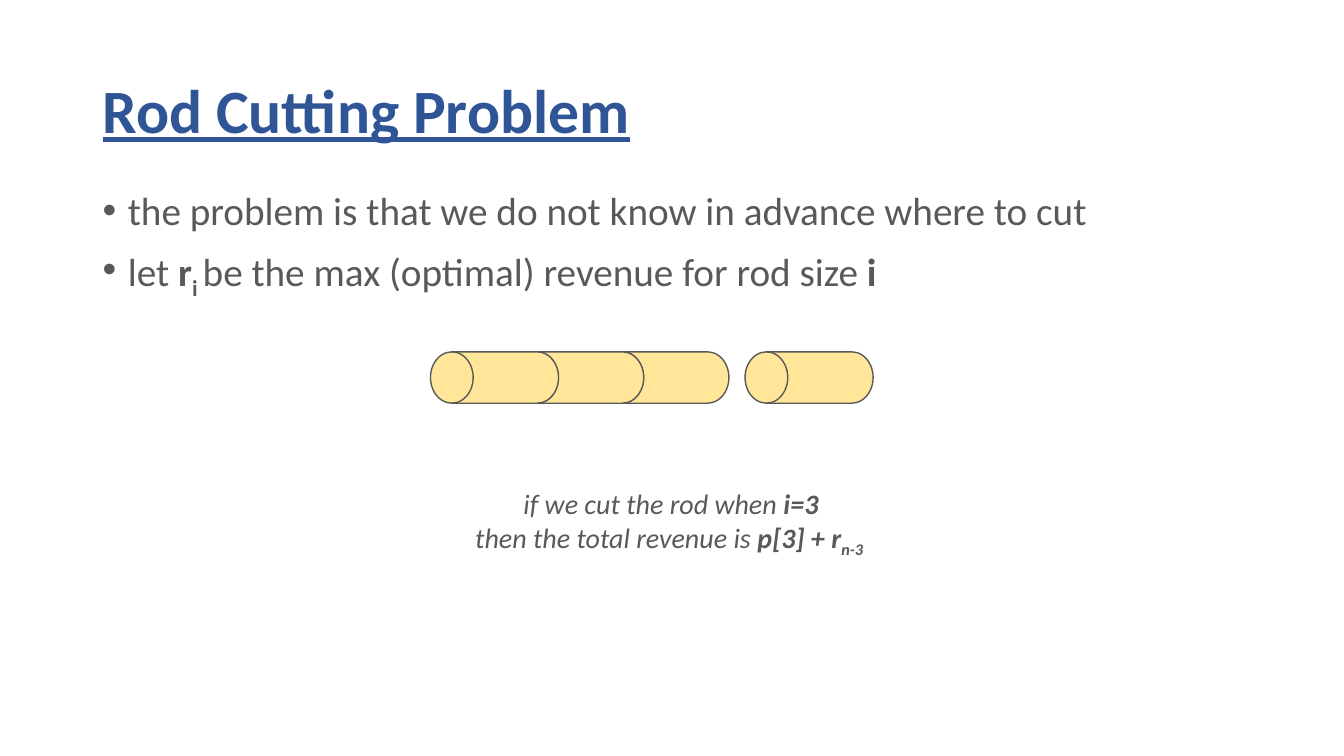
from lxml.etree import SubElement
from pptx import Presentation
from pptx.dml.color import RGBColor
from pptx.enum.shapes import MSO_SHAPE
from pptx.enum.text import MSO_ANCHOR, MSO_AUTO_SIZE, PP_ALIGN
from pptx.oxml.ns import qn
from pptx.util import Inches, Pt

COLORS = {"title": "2F5597", "text": "595959", "rod": "FFE699"}
TITLE = {"size": Pt(44), "bold": True, "underline": True}
BODY = {"size": Pt(28)}
CAPTION = {"size": Pt(20), "italic": True}
BOLD = {"bold": True}
SUBSCRIPT = {"bold": True, "baseline": "-25000"}


def color(name):
    return RGBColor.from_string(COLORS[name])


def add_text_frame(slide, box, wrap=True):
    frame = slide.shapes.add_textbox(*map(Inches, box)).text_frame
    frame.word_wrap = wrap
    return frame


def add_paragraph(frame, index, runs, base, color_name="text"):
    """Fill one paragraph with (text, extra format) runs on top of a base format."""
    paragraph = frame.add_paragraph() if index else frame.paragraphs[0]
    for text, extra in runs:
        run = paragraph.add_run()
        run.text = text
        run.font.name = "Calibri"
        run.font.color.rgb = color(color_name)
        for name, value in {**base, **extra}.items():
            if name == "baseline":
                run.font._element.set(name, value)
            else:
                setattr(run.font, name, value)
    return paragraph


def add_title(slide, box, text):
    frame = add_text_frame(slide, box)
    frame.vertical_anchor = MSO_ANCHOR.MIDDLE
    add_paragraph(frame, 0, [(text, {})], TITLE, "title").line_spacing = 0.9


def add_bullets(slide, box, items):
    frame = add_text_frame(slide, box)
    for index, runs in enumerate(items):
        paragraph = add_paragraph(frame, index, runs, BODY)
        paragraph.line_spacing = 0.9
        paragraph.space_before = Pt(10 if index else 0)
        properties = paragraph._p.get_or_add_pPr()
        properties.set("marL", str(Inches(0.25)))
        properties.set("indent", str(-Inches(0.25)))
        SubElement(properties, qn("a:buFont"), typeface="Arial")
        SubElement(properties, qn("a:buChar"), char="•")


def add_rod_piece(slide, left, top, length, thickness):
    """Draw an upright disk turned to lie in the given horizontal box."""
    shift = (length - thickness) / 2
    piece = slide.shapes.add_shape(
        MSO_SHAPE.FLOWCHART_MAGNETIC_DISK,
        *map(Inches, (left + shift, top - shift, thickness, length)))
    piece.rotation = 270
    piece.shadow.inherit = False
    piece.fill.solid()
    piece.fill.fore_color.rgb = color("rod")
    piece.line.color.rgb = color("text")
    piece.line.width = Pt(1)


def add_cut_rod(slide, left, top, length=1.27, thickness=0.51):
    """Draw three joined pieces and one cut off, from right to left."""
    pitch = 0.845
    for offset in (3.12, 2 * pitch, pitch, 0):
        add_rod_piece(slide, left + offset, top, length, thickness)


def add_caption(slide, box, lines):
    frame = add_text_frame(slide, box, wrap=False)
    frame.auto_size = MSO_AUTO_SIZE.SHAPE_TO_FIT_TEXT
    for index, runs in enumerate(lines):
        add_paragraph(frame, index, runs, CAPTION).alignment = PP_ALIGN.CENTER


def main():
    presentation = Presentation()
    presentation.slide_width = Inches(13.33)
    presentation.slide_height = Inches(7.5)
    slide = presentation.slides.add_slide(presentation.slide_layouts[6])

    add_title(slide, (0.92, 0.4, 11.5, 1.45), "Rod Cutting Problem")
    add_bullets(slide, (0.92, 1.85, 11.5, 5.25), [
        [("the problem is that we do not know in advance where to cut", {})],
        [("let ", {}), ("r", BOLD), ("i ", SUBSCRIPT),
         ("be the max (optimal) revenue for rod size ", {}), ("i", BOLD)],
    ])
    add_cut_rod(slide, 4.27, 3.49)
    add_caption(slide, (4.54, 4.78, 4.23, 0.77), [
        [("if we cut the rod when ", {}), ("i=3", BOLD)],
        [("then the total revenue is ", {}), ("p[3] + r", BOLD), ("n-3 ", SUBSCRIPT)],
    ])
    presentation.save("out.pptx")


if __name__ == "__main__":
    main()
